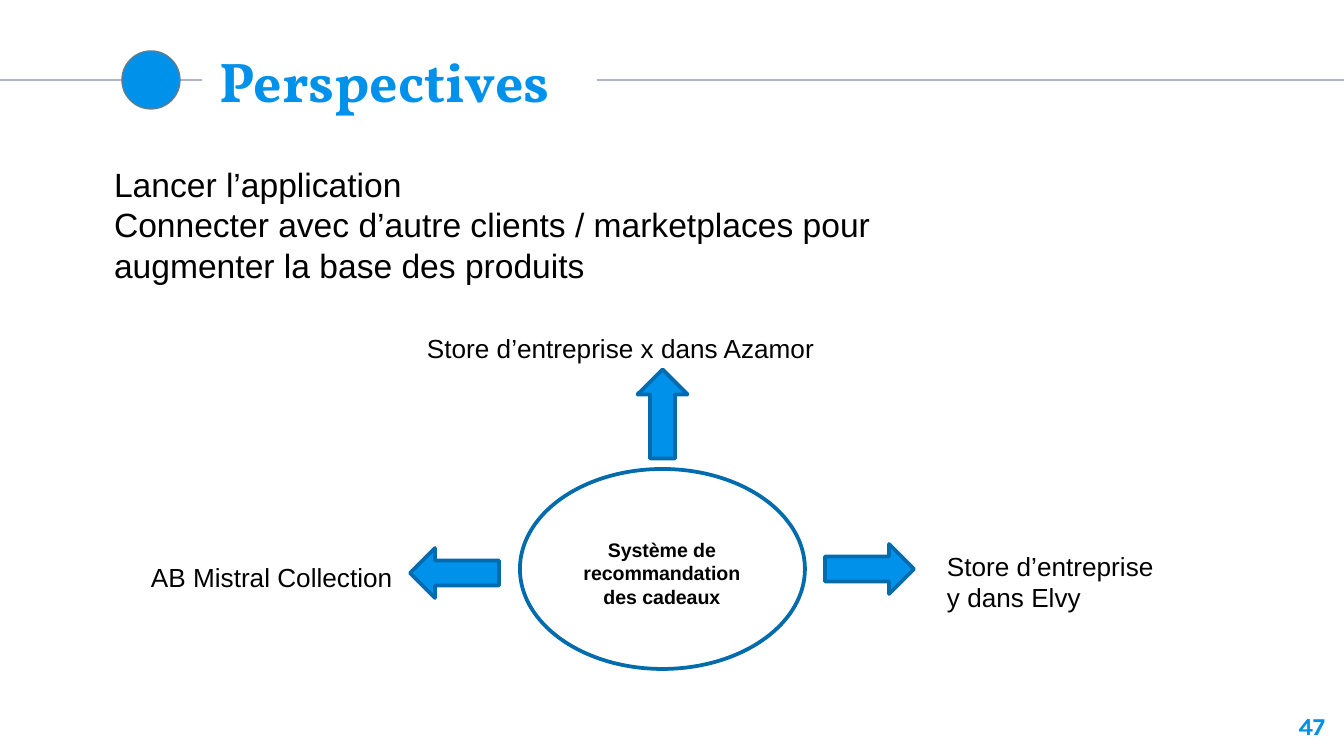
from dataclasses import dataclass
from typing import NamedTuple

from lxml.etree import SubElement
from pptx import Presentation
from pptx.dml.color import RGBColor
from pptx.enum.shapes import MSO_CONNECTOR as Connector, MSO_SHAPE as Preset
from pptx.enum.text import MSO_ANCHOR as Anchor, MSO_AUTO_SIZE as AutoSize, PP_ALIGN as Align
from pptx.oxml.ns import qn
from pptx.util import Emu, Pt

EMU_PER_PX = 914400 / 134.4


@dataclass(frozen=True)
class Theme:
    accent: RGBColor = RGBColor.from_string("0091EA")
    outline: RGBColor = RGBColor.from_string("006BAD")
    rule: RGBColor = RGBColor.from_string("B1B4C4")
    dot_edge: RGBColor = RGBColor.from_string("607D8B")
    ink: RGBColor = RGBColor.from_string("000000")
    title_size: float = 30
    body_size: float = 18
    label_size: float = 14
    number_size: float = 13
    centre_size: float = 10.5
    thin: float = 0.75
    thick: float = 2


class Area(NamedTuple):
    left: int
    top: int
    width: int
    height: int


class TextStyle(NamedTuple):
    size: float
    name: str = "Arial"
    color: RGBColor = RGBColor(0, 0, 0)
    bold: bool = False
    align: Align = Align.LEFT
    anchor: Anchor = Anchor.TOP
    inset_x: int = 13
    inset_y: int = 13


class Label(NamedTuple):
    area: Area
    lines: list[str]
    style: TextStyle


class Figure(NamedTuple):
    preset: Preset
    area: Area
    fill: RGBColor | None
    edge: RGBColor
    weight: float
    rotation: int = 0


THEME = Theme()


def px(length: int) -> Emu:
    return Emu(round(length * EMU_PER_PX))


def set_all(target, values: dict) -> None:
    for name, value in values.items():
        setattr(target, name, value)


def place(shape, area: Area) -> None:
    set_all(shape, {name: px(value) for name, value in area._asdict().items()})


def write(shape, lines: list[str], style: TextStyle) -> None:
    frame = shape.text_frame
    set_all(frame, {
        "word_wrap": True, "auto_size": AutoSize.NONE, "vertical_anchor": style.anchor,
        "margin_left": px(style.inset_x), "margin_right": px(style.inset_x),
        "margin_top": px(style.inset_y), "margin_bottom": px(style.inset_y),
    })
    frame.text = "\n".join(lines)
    for paragraph in frame.paragraphs:
        if shape.is_placeholder:
            properties = paragraph._p.get_or_add_pPr()
            properties.set("marL", "0")
            properties.set("indent", "0")
            SubElement(properties, qn("a:buNone"))
        set_all(paragraph, {"alignment": style.align, "space_before": Pt(0)})
        for run in paragraph.runs:
            set_all(run.font, {"name": style.name, "size": Pt(style.size), "bold": style.bold})
            run.font.color.rgb = style.color


def add_label(slide, label: Label) -> None:
    shape = slide.shapes.add_textbox(*map(px, label.area))
    write(shape, label.lines, label.style)


def add_rule(slide, start: int, end: int, height: int) -> None:
    rule = slide.shapes.add_connector(
        Connector.STRAIGHT, px(start), px(height), px(end), px(height))
    rule.line.color.rgb = THEME.rule
    rule.line.width = Pt(THEME.thin)
    SubElement(rule._element.spPr, qn("a:effectLst"))


def add_figure(slide, figure: Figure) -> None:
    shape = slide.shapes.add_shape(figure.preset, *map(px, figure.area))
    shape.shadow.inherit = False
    shape.rotation = figure.rotation
    if figure.fill is None:
        shape.fill.background()
    else:
        shape.fill.solid()
        shape.fill.fore_color.rgb = figure.fill
    shape.line.color.rgb = figure.edge
    shape.line.width = Pt(figure.weight)


def arrow(left: int, top: int, rotation: int = 0) -> Figure:
    return Figure(Preset.LEFT_ARROW, Area(left, top, 89, 50),
                  THEME.accent, THEME.outline, THEME.thick, rotation)


TITLE = TextStyle(THEME.title_size, "Vollkorn", THEME.accent, True, anchor=Anchor.MIDDLE)
BODY = TextStyle(THEME.body_size, color=THEME.ink)
NUMBER = TextStyle(THEME.number_size, "Karla", THEME.accent, True, Align.RIGHT)
STORE = TextStyle(THEME.label_size, color=THEME.ink, inset_y=7)
CENTRE = TextStyle(THEME.centre_size, color=THEME.ink, bold=True, align=Align.CENTER, inset_y=7)

FIGURES = [
    Figure(Preset.OVAL, Area(122, 51, 58, 58), THEME.accent, THEME.dot_edge, THEME.thin),
    Figure(Preset.OVAL, Area(520, 469, 285, 200), None, THEME.outline, THEME.thick),
    arrow(410, 548),
    arrow(618, 389, 90),
    arrow(825, 544, 180),
]

LABELS = [
    Label(Area(1258, 698, 80, 58), ["47"], NUMBER),
    Label(Area(562, 531, 200, 85), ["Système de recommandation", "des cadeaux"], CENTRE),
    Label(Area(138, 554, 274, 46), ["AB Mistral Collection"], STORE),
    Label(Area(414, 325, 423, 46), ["Store d’entreprise x dans Azamor"], STORE),
    Label(Area(934, 543, 242, 77), ["Store d’entreprise", "y dans Elvy"], STORE),
]


def main() -> None:
    presentation = Presentation()
    set_all(presentation, {"slide_width": px(1344), "slide_height": px(756)})
    slide = presentation.slides.add_slide(presentation.slide_layouts[1])

    # Title and list
    title, body = slide.placeholders
    place(title, Area(206, 48, 570, 65))
    write(title, ["Perspectives"], TITLE)
    place(body, Area(101, 151, 935, 149))
    write(body, [
        "Lancer l’application",
        "Connecter avec d’autre clients / marketplaces pour augmenter la base des produits",
    ], BODY)

    # Rules on both sides of the title
    for start, end in ((0, 202), (597, 1344)):
        add_rule(slide, start, end, 80)

    # Title dot, central system and its arrows
    for figure in FIGURES:
        add_figure(slide, figure)

    # Labels and slide number
    for label in LABELS:
        add_label(slide, label)

    presentation.save("out.pptx")


if __name__ == "__main__":
    main()
